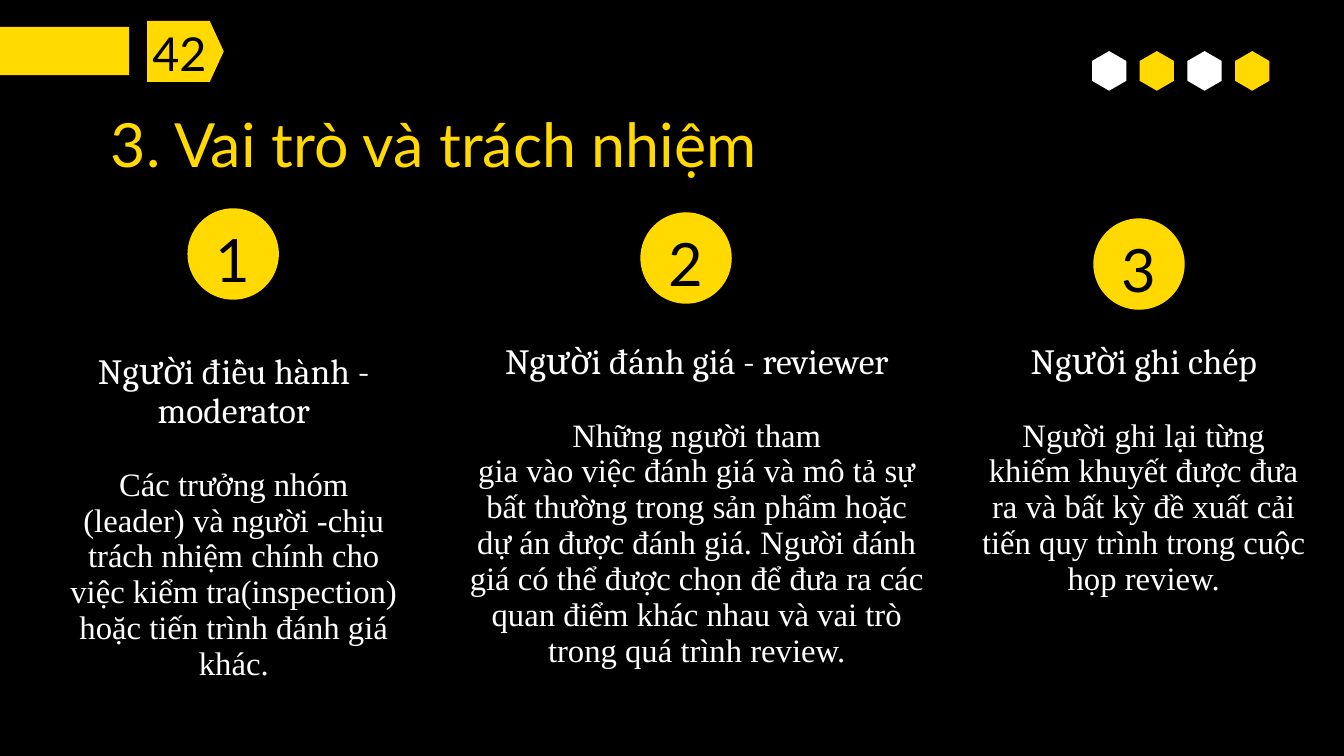
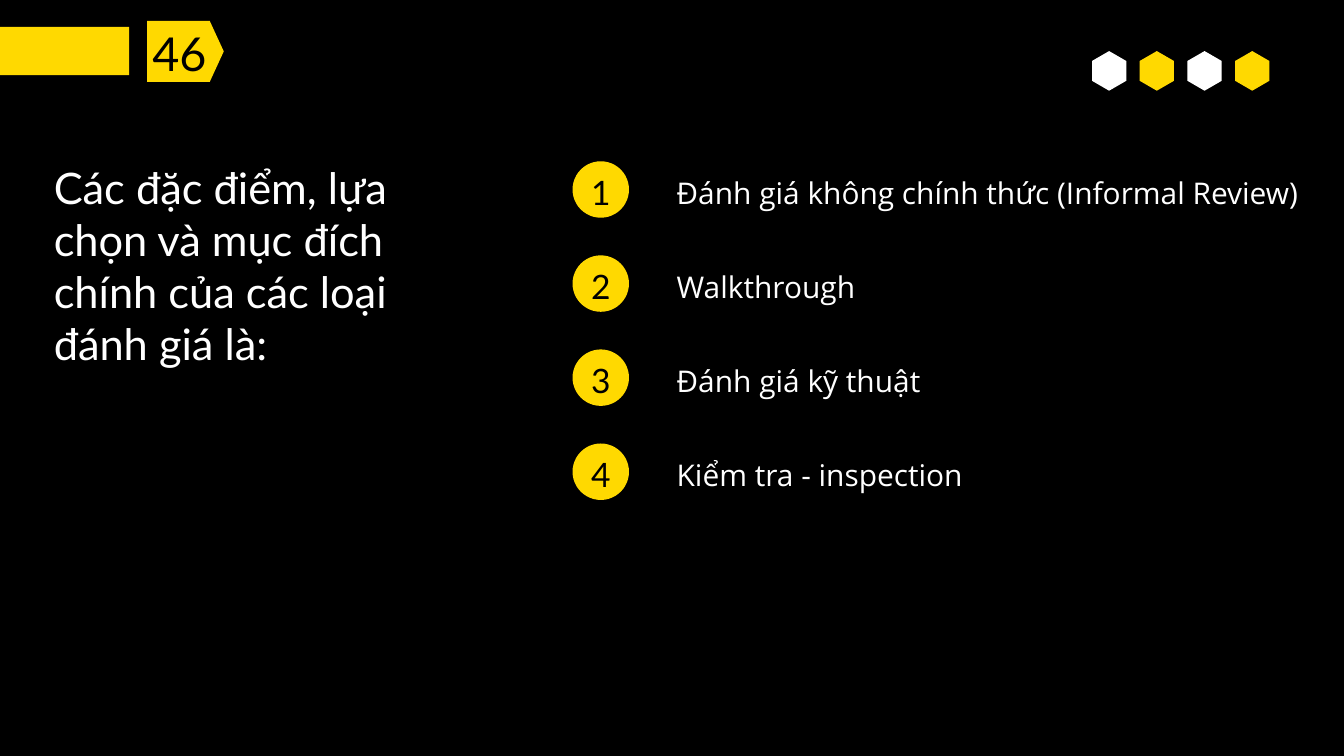
from dataclasses import dataclass
from typing import NamedTuple

from pptx import Presentation
from pptx import util as u
from pptx.dml.color import RGBColor
from pptx.enum import shapes, text

COLOURS = {"black": "000000", "yellow": "FFD900", "white": "FFFFFF"}
COLUMN = ROW = u.Inches(1)
COLUMNS, ROWS = 20, 11.25
TITLE_ONLY = 5


class Area(NamedTuple):
    column: float
    row: float
    columns: float
    rows: float

    def lengths(self) -> tuple[int, int, int, int]:
        return (round(self.column * COLUMN), round(self.row * ROW),
                round(self.columns * COLUMN), round(self.rows * ROW))


@dataclass(frozen=True)
class Style:
    font: str
    size: float
    leading: float
    colour: str = "white"
    centred: bool = True
    space_before: float = 0


@dataclass(frozen=True)
class BadgeStyle:
    diameter: float
    text_rise: float
    number: Style


@dataclass(frozen=True)
class Role:
    badge_row: float
    area: Area
    heading: str
    duties: tuple[str, ...]


TITLE = Style("Lato", 65.3, 91.4, "yellow", centred=False)
SIDE_TITLE = Style("Lato", 46.5, 55.8, centred=False)
PAGE_NUMBER = Style("Lato", 50.1, 70.1, "black")
ROLE_HEADING = Style("Cambria", 38, 41.8)
FIRST_DUTY = Style("Times New Roman", 35, 38.5, space_before=38.5)
DUTY = Style("Times New Roman", 35, 38.5)
REVIEW_TYPE = Style("Open Sans", 32, 64, centred=False)
LARGE_BADGE = BadgeStyle(1.36, 0.11, Style("Lato", 64, 100.5, "black"))
SMALL_BADGE = BadgeStyle(0.84, 0.03, Style("Lato", 36, 56.5, "black"))

BAR = Area(-0.67, 0.4, 2.59, 0.72)
TAG = Area(2.19, 0.31, 1.14, 0.91)
TAG_TEXT = Area(2.12, 0.23, 1.1, 0.94)
FIRST_HEXAGON = Area(16.25, 0.76, 0.51, 0.59)
HEXAGON_STEP = 0.71
HEXAGON_COLOURS = ("white", "yellow") * 2
HEXAGON_CORNERS = ((0, 0.25), (0, 0.75), (0.5, 1), (1, 0.75), (1, 0.25), (0.5, 0))

ROLE_BADGE_COLUMN, ROLE_BADGE_STEP = 2.79, 6.74
ROLES = (
    Role(3.1, Area(1.03, 5.25, 4.9, 5.94), "Người điều hành - moderator",
         ("Các trưởng nhóm (leader) và người -chịu trách nhiệm chính cho việc "
          "kiểm tra(inspection) hoặc tiến trình đánh giá khác.",)),
    Role(3.16, Area(6.97, 5.1, 6.8, 6.1), "Người đánh giá - reviewer",
         ("Những người tham",
          "gia vào việc đánh giá và mô tả sự bất thường trong sản phẩm hoặc dự án "
          "được đánh giá. Người đánh giá có thể được chọn để đưa ra các quan điểm "
          "khác nhau và vai trò trong quá trình review.")),
    Role(3.25, Area(14.57, 5.1, 4.9, 4.3), "Người ghi chép",
         ("Người ghi lại từng khiếm khuyết được đưa ra và bất kỳ đề xuất cải tiến "
          "quy trình trong cuộc họp review.",)),
)

REVIEW_TYPES = (
    "Đánh giá không chính thức (Informal Review)",
    "Walkthrough",
    "Đánh giá kỹ thuật",
    "Kiểm tra - inspection",
)
REVIEW_BADGE_COLUMN, REVIEW_TEXT_COLUMN = 8.52, 10.07
REVIEW_ROW, REVIEW_STEP = 2.4, 1.4


def colour(name: str) -> RGBColor:
    return RGBColor.from_string(COLOURS[name])


def paint(shape, name: str) -> None:
    shape.shadow.inherit = False
    shape.fill.solid()
    shape.fill.fore_color.rgb = colour(name)
    shape.line.fill.background()


def add_preset(page, preset, area: Area, name: str):
    shape = page.shapes.add_shape(preset, *area.lengths())
    paint(shape, name)
    return shape


def write(box, lines: list[tuple[str, Style]]) -> None:
    frame = box.text_frame
    frame.word_wrap = True
    frame.auto_size = text.MSO_AUTO_SIZE.NONE
    frame.vertical_anchor = text.MSO_ANCHOR.TOP
    frame.margin_left = frame.margin_right = 0
    frame.margin_top = frame.margin_bottom = 0
    for index, (words, style) in enumerate(lines):
        para = frame.add_paragraph() if index else frame.paragraphs[0]
        para.text = words
        para.alignment = text.PP_ALIGN.CENTER if style.centred else text.PP_ALIGN.LEFT
        para.line_spacing = u.Pt(style.leading)
        para.space_before = u.Pt(style.space_before)
        para.font.name = style.font
        para.font.size = u.Pt(style.size)
        para.font.color.rgb = colour(style.colour)


def add_text(page, area: Area, *lines: tuple[str, Style]) -> None:
    write(page.shapes.add_textbox(*area.lengths()), list(lines))


def add_hexagon(page, area: Area, name: str) -> None:
    left, top, width, height = area.lengths()
    corners = [(round(left + x * width), round(top + y * height))
               for x, y in HEXAGON_CORNERS]
    outline = page.shapes.build_freeform(*corners[0])
    outline.add_line_segments(corners[1:], close=True)
    paint(outline.convert_to_shape(), name)


def add_badge(page, column: float, row: float, number: int, style: BadgeStyle) -> None:
    circle = Area(column, row, style.diameter, style.diameter)
    add_preset(page, shapes.MSO_SHAPE.OVAL, circle, "yellow")
    add_text(page, circle._replace(row=row - style.text_rise), (str(number), style.number))


def add_page(deck, number: int, title: str, area: Area, style: Style):
    page = deck.slides.add_slide(deck.slide_layouts[TITLE_ONLY])
    add_preset(page, shapes.MSO_SHAPE.RECTANGLE, BAR, "yellow")
    tag = add_preset(page, shapes.MSO_SHAPE.PENTAGON, TAG, "yellow")
    tag.adjustments[0] = 0.23
    add_text(page, TAG_TEXT, (str(number), PAGE_NUMBER))
    for index, name in enumerate(HEXAGON_COLOURS):
        column = FIRST_HEXAGON.column + index * HEXAGON_STEP
        add_hexagon(page, FIRST_HEXAGON._replace(column=column), name)
    heading = page.shapes.title
    heading.left, heading.top, heading.width, heading.height = area.lengths()
    write(heading, [(title, style)])
    return page


def add_roles_page(deck) -> None:
    page = add_page(deck, 42, "3. Vai trò và trách nhiệm",
                    Area(1.65, 1.4, 11.26, 1.22), TITLE)
    for index, role in enumerate(ROLES):
        first, *others = role.duties
        add_text(page, role.area, (role.heading, ROLE_HEADING), (first, FIRST_DUTY),
                 *((duty, DUTY) for duty in others))
        add_badge(page, ROLE_BADGE_COLUMN + index * ROLE_BADGE_STEP, role.badge_row,
                  index + 1, LARGE_BADGE)


def add_review_types_page(deck) -> None:
    page = add_page(deck, 46,
                    "Các đặc điểm, lựa chọn và mục đích chính của các loại đánh giá là:",
                    Area(0.8, 2.4, 5.59, 3.08), SIDE_TITLE)
    for index, review_type in enumerate(REVIEW_TYPES):
        row = REVIEW_ROW + index * REVIEW_STEP
        add_badge(page, REVIEW_BADGE_COLUMN, row, index + 1, SMALL_BADGE)
        add_text(page, Area(REVIEW_TEXT_COLUMN, row - 0.16, 9.44, 0.79),
                 (review_type, REVIEW_TYPE))


def main() -> None:
    deck = Presentation()
    deck.slide_width = COLUMNS * COLUMN
    deck.slide_height = round(ROWS * ROW)
    backdrop = deck.slide_master.background.fill
    backdrop.solid()
    backdrop.fore_color.rgb = colour("black")
    add_roles_page(deck)
    add_review_types_page(deck)
    deck.save("out.pptx")


if __name__ == "__main__":
    main()
